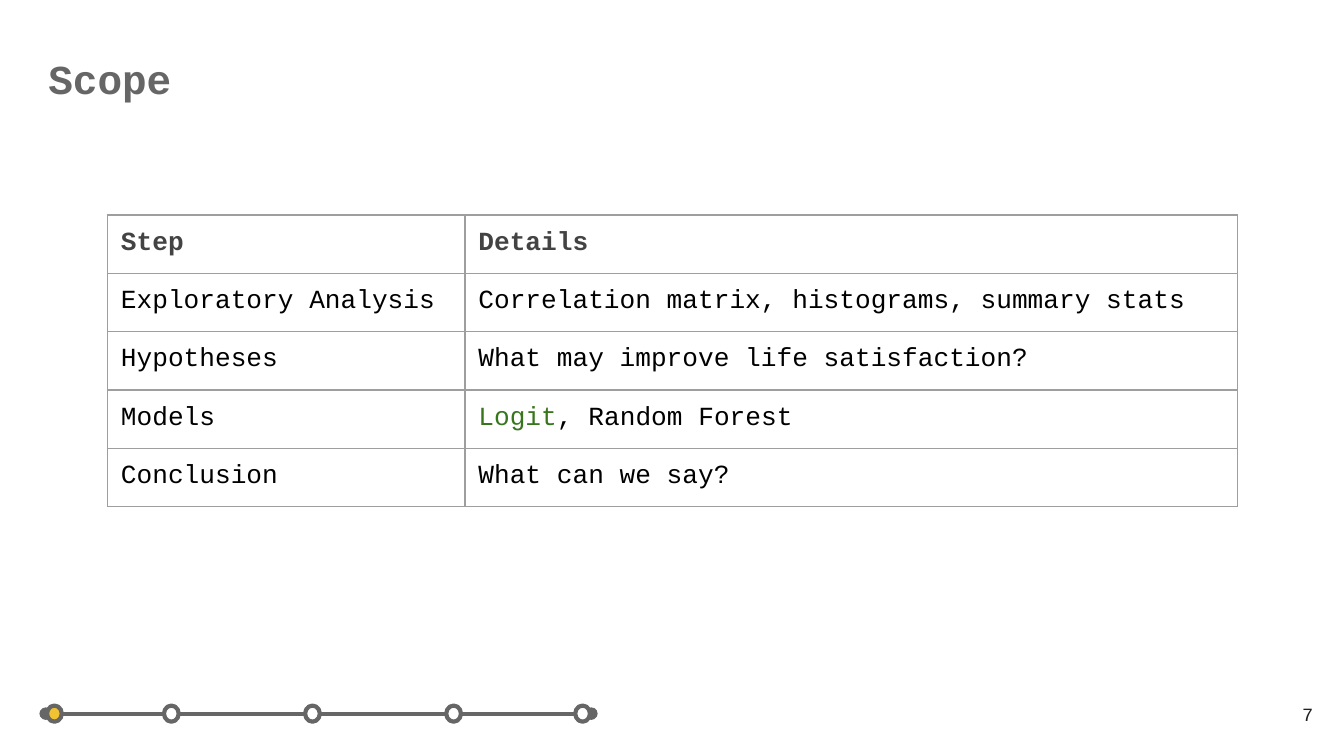
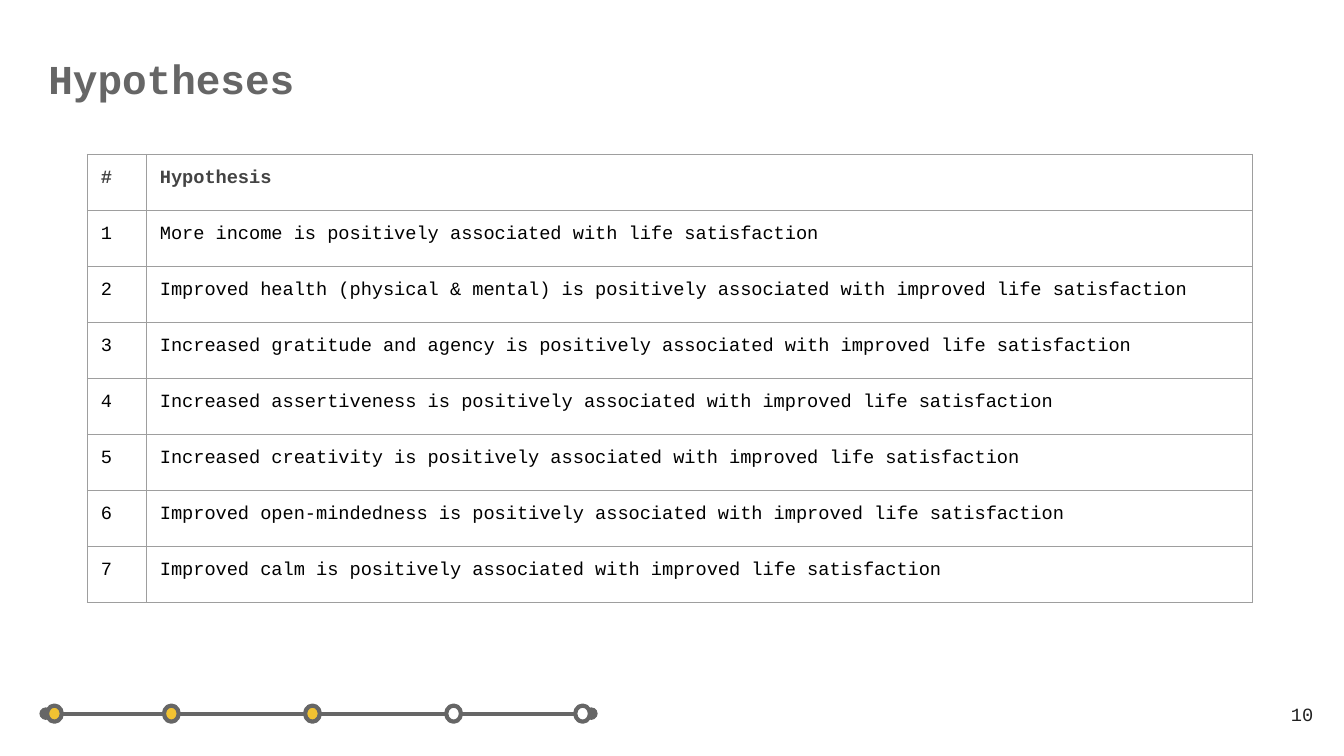
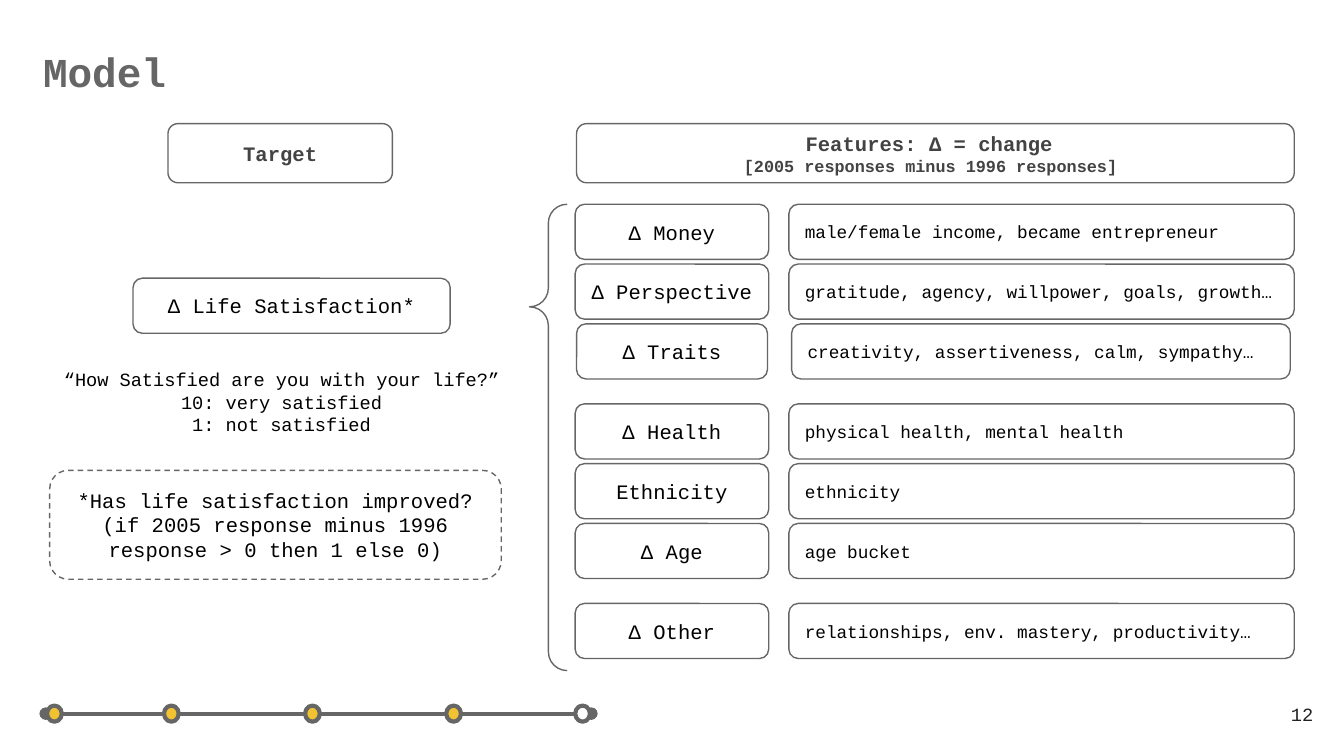
import dataclasses

import pptx
import pptx.dml.color
import pptx.enum.dml
import pptx.enum.shapes
import pptx.enum.text
import pptx.oxml
import pptx.oxml.ns
import pptx.util

Inches = pptx.util.Inches
Pt = pptx.util.Pt
Hue = pptx.dml.color.RGBColor.from_string
Align = pptx.enum.text.PP_ALIGN
Anchor = pptx.enum.text.MSO_ANCHOR
Kind = pptx.enum.shapes.MSO_SHAPE


@dataclasses.dataclass(frozen=True)
class Theme:
    font: str = "Courier New"
    gray: str = "666666"
    head: str = "434343"
    ink: str = "000000"
    page: str = "212121"
    grid: str = "9E9E9E"
    gold: str = "F1C232"
    green: str = "38761D"
    white: str = "FFFFFF"
    title: float = 22
    large: float = 14
    mid: float = 11
    small: float = 10
    note: float = 9.5
    tiny: float = 9
    thick: float = 2.25
    thin: float = 0.75


LOOK = Theme()
PADS = {f"margin_{side}": Inches(0.1) for side in ("left", "top", "right", "bottom")}
TIGHT = {"line_spacing": 1.0, "space_before": Pt(0), "space_after": Pt(0)}
DOTS = (0.35, 1.22, 2.27, 3.32, 4.28)

STEPS = [
    ("Step", "Details"),
    ("Exploratory Analysis", "Correlation matrix, histograms, summary stats"),
    ("Hypotheses", "What may improve life satisfaction?"),
    ("Models", [("Logit", LOOK.green), (", Random Forest", LOOK.ink)]),
    ("Conclusion", "What can we say?"),
]
CLAIMS = [
    "More income is positively associated with life satisfaction",
    "Improved health (physical & mental) is positively associated with improved life satisfaction",
    "Increased gratitude and agency is positively associated with improved life satisfaction",
    "Increased assertiveness is positively associated with improved life satisfaction",
    "Increased creativity is positively associated with improved life satisfaction",
    "Improved open-mindedness is positively associated with improved life satisfaction",
    "Improved calm is positively associated with improved life satisfaction",
]
TRAITS = [
    ("Δ Money", "male/female income, became entrepreneur", 0),
    ("Δ Perspective", "gratitude, agency, willpower, goals, growth…", 0),
    ("Δ Traits", "creativity, assertiveness, calm, sympathy…", 0.01),
    ("Δ Health", "physical health, mental health", 0),
    ("Ethnicity", "ethnicity", 0),
    ("Δ Age", "age bucket", 0),
    ("Δ Other", "relationships, env. mastery, productivity…", 0),
]


def put(item, **values):
    for name, value in values.items():
        setattr(item, name, value)


def place(left, top, width, height):
    return [Inches(size) for size in (left, top, width, height)]


def add_run(para, text, size, tint, bold=False):
    run = para.add_run()
    run.text = text
    put(run.font, name=LOOK.font, size=Pt(size), bold=bold)
    run.font.color.rgb = Hue(tint)


def write(frame, lines, size, tint, bold=False, align=Align.LEFT, anchor=Anchor.MIDDLE):
    put(frame, word_wrap=True, vertical_anchor=anchor, **PADS)
    for i, line in enumerate(lines):
        para = frame.add_paragraph() if i else frame.paragraphs[0]
        para.alignment = align
        text, points = line if isinstance(line, tuple) else (line, size)
        add_run(para, text, points, tint, bold)


def add_form(slide, kind, box, line=None, fill=None, width=LOOK.thin):
    shape = slide.shapes.add_shape(kind, *place(*box))
    shape.shadow.inherit = False
    for part, tint in ((shape.fill, fill), (shape.line.fill, line)):
        if tint:
            part.solid()
            part.fore_color.rgb = Hue(tint)
        else:
            part.background()
    if line:
        shape.line.width = Pt(width)
    return shape


def add_box(slide, box, *lines, size=LOOK.mid, tint=LOOK.ink, line=LOOK.gray,
            bold=False, align=Align.CENTER):
    shape = add_form(slide, Kind.ROUNDED_RECTANGLE, box, line)
    shape.adjustments[0] = 0.17
    write(shape.text_frame, lines, size, tint, bold, align)
    return shape


def add_track(slide, done):
    line = slide.shapes.add_connector(
        pptx.enum.shapes.MSO_CONNECTOR.STRAIGHT,
        Inches(0.34), Inches(5.31), Inches(4.4), Inches(5.31))
    line.line.color.rgb = Hue(LOOK.gray)
    line.line.width = Pt(LOOK.thick)
    stroke = line.line._get_or_add_ln()
    for end in ("headEnd", "tailEnd"):
        tip = pptx.oxml.parse_xml(f'<a:{end} {pptx.oxml.ns.nsdecls("a")} type="oval"/>')
        stroke.append(tip)
    line._element.spPr.append(
        pptx.oxml.parse_xml(f'<a:effectLst {pptx.oxml.ns.nsdecls("a")}/>'))
    for i, left in enumerate(DOTS):
        fill = LOOK.gold if i < done else LOOK.white
        add_form(slide, Kind.OVAL, (left, 5.25, 0.11, 0.12), LOOK.gray, fill, LOOK.thick)


def add_page(deck, title, box, number, done):
    slide = deck.slides.add_slide(deck.slide_layouts[5])
    head = slide.shapes.title
    put(head, **dict(zip(("left", "top", "width", "height"), place(*box))))
    head.text_frame.auto_size = pptx.enum.text.MSO_AUTO_SIZE.NONE
    write(head.text_frame, [title], LOOK.title, LOOK.gray, True, anchor=Anchor.TOP)
    put(head.text_frame.paragraphs[0], line_spacing=1.15, space_after=Pt(16))
    note = slide.shapes.add_textbox(*place(9.27, 5.1, 0.6, 0.43))
    write(note.text_frame, [str(number)], LOOK.small, LOOK.page, align=Align.RIGHT)
    add_track(slide, done)
    return slide


def edge_cell(cell):
    props = cell._tc.get_or_add_tcPr()
    for side in "LRTB":
        props.append(pptx.oxml.parse_xml(
            f'<a:ln{side} {pptx.oxml.ns.nsdecls("a")} w="{Pt(LOOK.thin)}">'
            f'<a:solidFill><a:srgbClr val="{LOOK.grid}"/></a:solidFill></a:ln{side}>'))
    cell.fill.solid()
    cell.fill.fore_color.rgb = Hue(LOOK.white)


def add_grid(slide, left, top, widths, rows, size):
    high = Inches(5) // 12
    frame = slide.shapes.add_table(
        len(rows), len(widths), Inches(left), Inches(top),
        Inches(sum(widths)), high * len(rows))
    table = frame.table
    put(table, first_row=False, horz_banding=False)
    for column, width in zip(table.columns, widths):
        column.width = Inches(width)
    for i, row in enumerate(rows):
        table.rows[i].height = high
        for j, value in enumerate(row):
            cell = table.cell(i, j)
            put(cell, vertical_anchor=Anchor.TOP, **PADS)
            edge_cell(cell)
            para = cell.text_frame.paragraphs[0]
            put(para, **TIGHT)
            tint = LOOK.ink if i else LOOK.head
            runs = [(value, tint)] if isinstance(value, str) else value
            for text, shade in runs:
                add_run(para, text, size, shade, not i)


def add_model(slide):
    bold = {"tint": LOOK.head, "bold": True}
    add_box(slide, (4.29, 0.92, 5.34, 0.44), "Features: Δ = change ",
            ("[2005 responses minus 1996 responses] ", LOOK.tiny), **bold)
    add_box(slide, (1.25, 0.92, 1.67, 0.44), "Target", **bold)
    for i, (name, detail, trim) in enumerate(TRAITS):
        top = 1.52 + i // 3 * 2.97 / 2 + i % 3 * 0.89 / 2
        add_box(slide, (4.28 + trim, top, 1.44 - 2 * trim, 0.41), name)
        add_box(slide, (5.87 + 2 * trim, top, 3.76 - 5 * trim, 0.41), detail,
                size=LOOK.note, align=Align.LEFT)
    add_box(slide, (0.99, 2.07, 2.36, 0.41), "Δ Life Satisfaction*")
    add_box(slide, (0.31, 2.65, 3.57, 0.68), "“How Satisfied are you with your life?”",
            "10: very satisfied", "1: not satisfied", size=LOOK.small, line=None)
    rule = add_box(slide, (0.37, 3.5, 3.36, 0.81), "*Has life satisfaction improved?",
                   "(if 2005 response minus 1996 response > 0 then 1 else 0)")
    rule.line.dash_style = pptx.enum.dml.MSO_LINE.DASH
    brace = add_form(slide, Kind.LEFT_BRACE, (3.94, 1.52, 0.28, 3.47), LOOK.gray)
    brace.adjustments[0] = 0.5
    brace.adjustments[1] = 0.22


def main():
    deck = pptx.Presentation()
    put(deck, slide_width=Inches(10), slide_height=Inches(10) * 9 // 16)
    scope = add_page(deck, "Scope", (0.26, 0.24, 3.87, 0.68), 7, 1)
    add_grid(scope, 0.8, 1.6, (2.66, 5.75), STEPS, LOOK.large)
    ideas = add_page(deck, "Hypotheses", (0.26, 0.24, 8.45, 0.68), 10, 3)
    rows = [("#", "Hypothesis")] + [(str(i), text) for i, text in enumerate(CLAIMS, 1)]
    add_grid(ideas, 0.65, 1.15, (0.44, 8.23), rows, LOOK.small)
    add_model(add_page(deck, "Model", (0.22, 0.19, 1.18, 0.58), 12, 4))
    deck.save("out.pptx")


if __name__ == "__main__":
    main()
